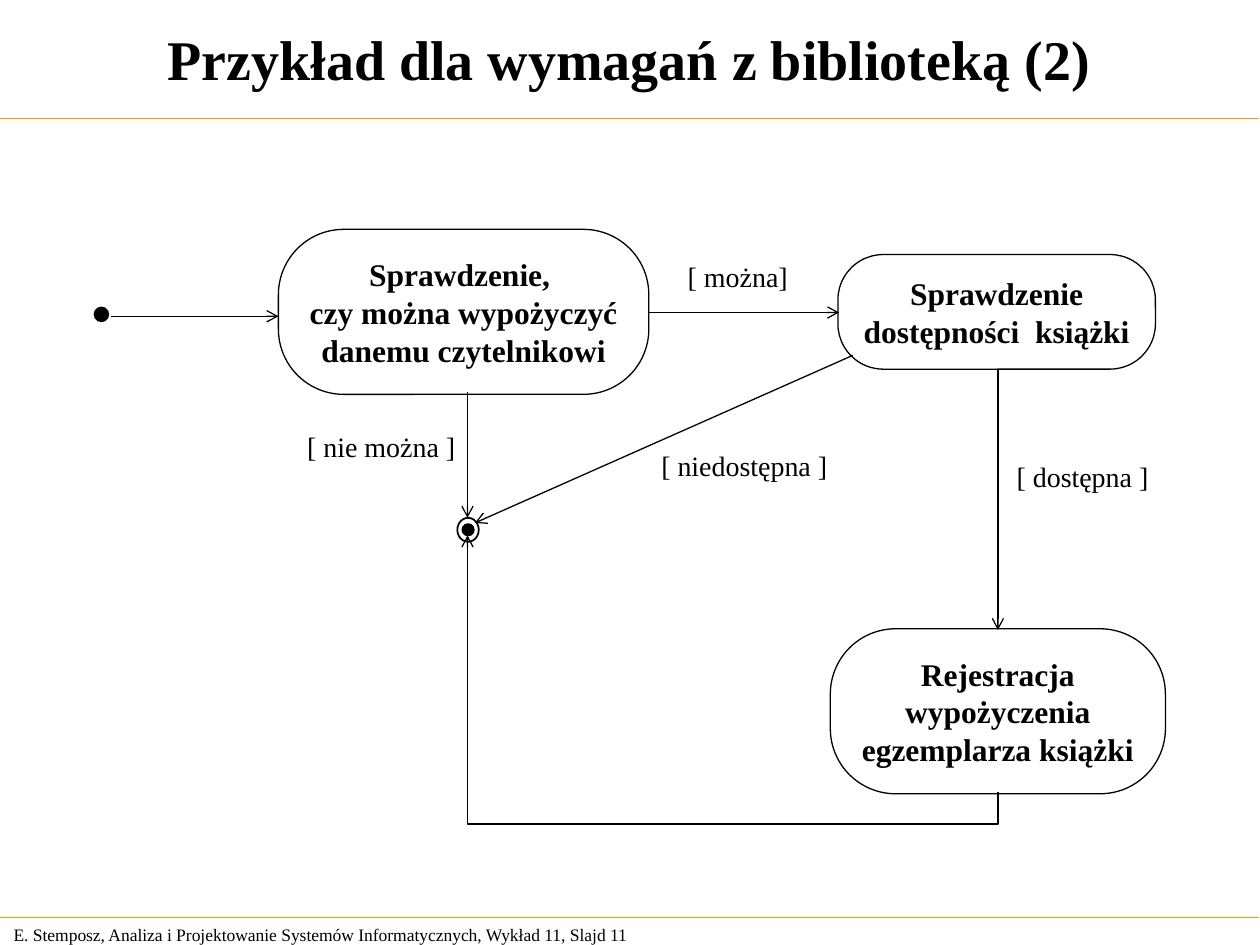
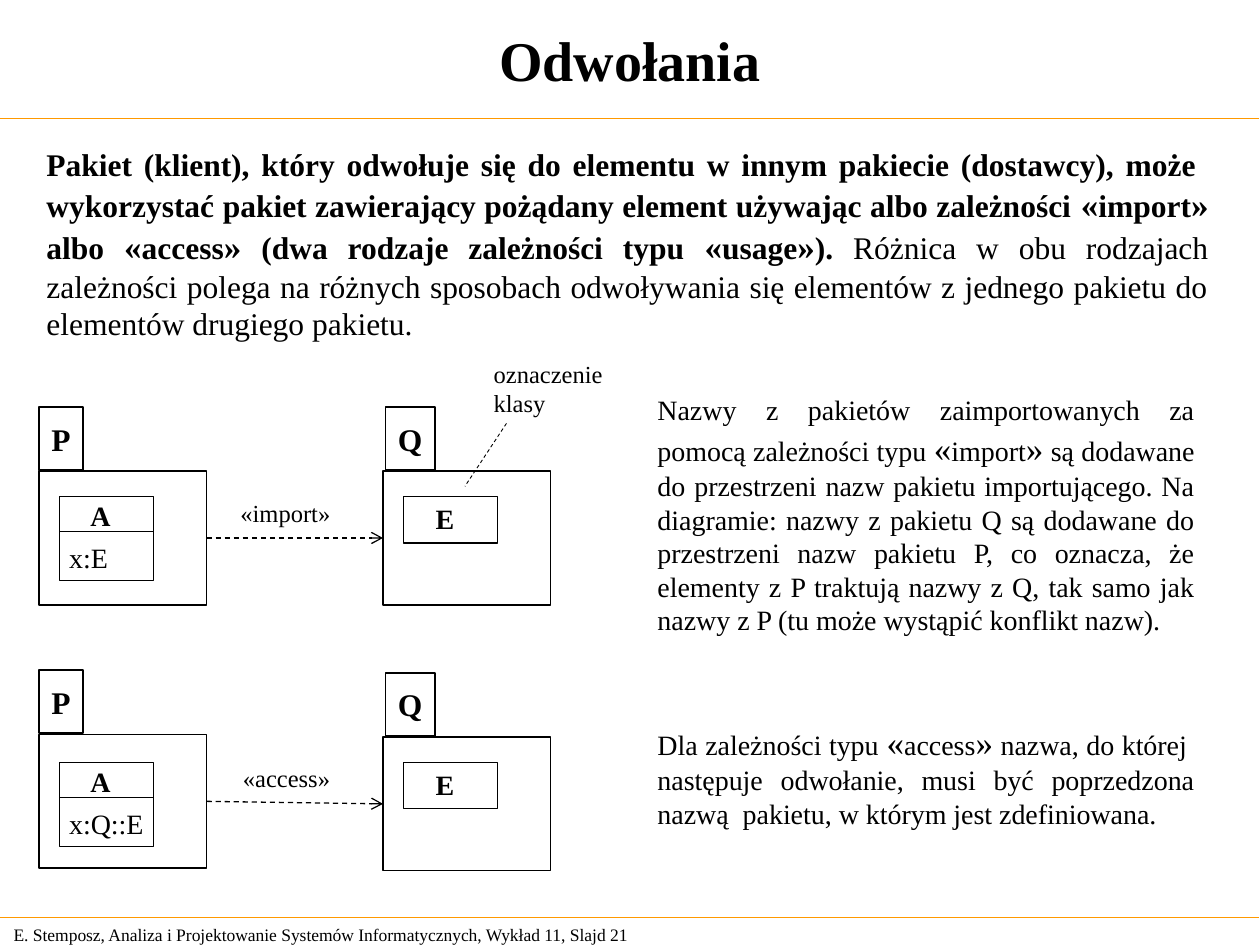
from dataclasses import dataclass
from itertools import groupby

from lxml.etree import SubElement
from pptx import Presentation
from pptx.dml.color import RGBColor
from pptx.enum.dml import MSO_LINE
from pptx.enum.shapes import MSO_CONNECTOR, MSO_SHAPE
from pptx.enum.text import MSO_ANCHOR, MSO_AUTO_SIZE, PP_ALIGN
from pptx.oxml.ns import qn
from pptx.util import Inches, Pt


@dataclass(frozen=True)
class Theme:
    font: str = "Times New Roman"
    ink: RGBColor = RGBColor(0, 0, 0)
    rule: RGBColor = RGBColor(0xFF, 0x99, 0)
    head: int = 32
    quote: int = 20
    lead: int = 18
    text: int = 16
    label: int = 14
    foot: int = 10
    thin: float = 0.5
    line: float = 0.75
    bold: float = 1


THEME = Theme()
FOOT = "E. Stemposz, Analiza i Projektowanie Systemów Informatycznych, Wykład 11, Slajd "


def write(frame, text, size=THEME.text, bold=False, lead="", quote=None,
          align=PP_ALIGN.LEFT, anchor=MSO_ANCHOR.TOP, wrap=False, inset=0.05):
    """Fill a frame; lead is a bold opening, quote the size of guillemets."""
    frame.auto_size = MSO_AUTO_SIZE.NONE
    frame.word_wrap = wrap
    frame.vertical_anchor = anchor
    frame.margin_left = frame.margin_right = Inches(0.1)
    frame.margin_top = frame.margin_bottom = Inches(inset)
    for row, line in enumerate(text.split("\n")):
        para = frame.add_paragraph() if row else frame.paragraphs[0]
        para.alignment = align
        for part, heavy in ((lead if row == 0 else "", True), (line, bold)):
            for mark, chars in groupby(part, lambda c: bool(quote) and c in "«»"):
                run = para.add_run()
                run.text = "".join(chars)
                run.font.name = THEME.font
                run.font.size = Pt(quote if mark else size)
                run.font.bold = heavy
                run.font.color.rgb = THEME.ink


class Deck:
    def __init__(self, theme):
        self.theme = theme
        self.show = Presentation()
        self.show.slide_width, self.show.slide_height = Inches(10), Inches(7.5)
        self.slide = None

    def page(self, title, number, box):
        """Start a slide with its title, two rules and footer."""
        self.slide = self.show.slides.add_slide(self.show.slide_layouts[5])
        head = self.slide.shapes.title
        head.left, head.top, head.width, head.height = map(Inches, box)
        write(head.text_frame, title, size=self.theme.head, bold=True,
              align=PP_ALIGN.CENTER, anchor=MSO_ANCHOR.MIDDLE, wrap=True)
        for y in (0.94, 7.28):
            self.line((0, y), (9.99, y), color=self.theme.rule)
        self.text((0.01, 7.28, 5.24, 0.27), f"{FOOT}{number}",
                  size=self.theme.foot, anchor=MSO_ANCHOR.MIDDLE)

    def text(self, box, text, **fmt):
        frame = self.slide.shapes.add_textbox(*map(Inches, box)).text_frame
        write(frame, text, **fmt)

    def prose(self, box, text, **fmt):
        """Add a justified, wrapped paragraph."""
        self.text(box, text, quote=self.theme.quote, wrap=True,
                  align=PP_ALIGN.JUSTIFY, **fmt)

    def shape(self, kind, box, width=THEME.line, fill=None):
        item = self.slide.shapes.add_shape(kind, *map(Inches, box))
        item.shadow.inherit = False
        if fill is None:
            item.fill.background()
        else:
            item.fill.solid()
            item.fill.fore_color.rgb = fill
        item.line.color.rgb = self.theme.ink
        item.line.width = Pt(width)
        return item

    def rect(self, box, width=THEME.line):
        return self.shape(MSO_SHAPE.RECTANGLE, box, width)

    def dot(self, box, fill=None):
        self.shape(MSO_SHAPE.OVAL, box, self.theme.bold, fill)

    def step(self, box, text):
        """Add a rounded activity box."""
        item = self.shape(MSO_SHAPE.ROUNDED_RECTANGLE, box)
        item.adjustments[0] = 0.396
        write(item.text_frame, text, size=self.theme.lead, bold=True,
              align=PP_ALIGN.CENTER, anchor=MSO_ANCHOR.MIDDLE)

    def line(self, start, end, color=THEME.ink, width=THEME.line,
             arrow=False, dash=False, kind=MSO_CONNECTOR.STRAIGHT):
        item = self.slide.shapes.add_connector(kind, *map(Inches, start + end))
        item.line.color.rgb = color
        item.line.width = Pt(width)
        if dash:
            item.line.dash_style = MSO_LINE.DASH
        props = item._element.spPr
        if arrow:
            SubElement(props.find(qn("a:ln")), qn("a:tailEnd"), type="arrow")
        SubElement(props, qn("a:effectLst"))
        return item

    def elbow(self, start, end, drop):
        """Draw an arrow that dips by drop, runs left, then climbs to end."""
        wide, high = start[0] - end[0], start[1] - end[1]
        x, y = (start[0] + end[0]) / 2, (start[1] + end[1]) / 2
        item = self.line((x - high / 2, y + wide / 2), (x + high / 2, y - wide / 2),
                         arrow=True, kind=MSO_CONNECTOR.ELBOW)
        props = item._element.spPr
        props.find(qn("a:xfrm")).set("rot", str(270 * 60000))
        geom = props.find(qn("a:prstGeom"))
        bends = geom.find(qn("a:avLst"))
        if bends is None:
            bends = SubElement(geom, qn("a:avLst"))
        SubElement(bends, qn("a:gd"), name="adj1",
                   fmla=f"val {round(-drop / high * 100000)}")

    def folder(self, name, x, top, tab, wide):
        """Add a package: a named tab above a body whose top is given."""
        label = self.rect((tab, top - 0.51, wide, 0.5), self.theme.bold)
        write(label.text_frame, name, size=self.theme.lead, bold=True, inset=0.1,
              align=PP_ALIGN.CENTER, anchor=MSO_ANCHOR.MIDDLE)
        self.rect((x, top, 1.33, 1.06), self.theme.bold)

    def usage(self, left, right, inner, field, label, at):
        """Draw package P that depends on package Q; tops are given."""
        self.folder("P", 0.31, left, 0.31, 0.35)
        self.rect((0.47, inner, 0.75, 0.67))
        self.line((0.47, inner + 0.28), (1.22, inner + 0.28))
        self.text((0.62, inner - 0.03, 0.36, 0.37), "A", bold=True)
        self.text((0.45, inner + 0.3, 0.79, 0.37), field)
        self.folder("Q", 3.04, right, 3.06, 0.39)
        self.rect((3.2, right + 0.2, 0.75, 0.37))
        self.text((3.36, right + 0.19, 0.35, 0.37), "E", bold=True)
        self.line((1.64, left + 0.53), (3.04, right + 0.53), arrow=True, dash=True)
        self.text((at, right + 0.16, 0.9, 0.34), label, size=self.theme.label)


def library(deck):
    deck.page("Przykład dla wymagań z biblioteką (2)", 11, (0, 0, 9.99, 0.92))
    deck.dot((0.75, 2.44, 0.11, 0.11), THEME.ink)
    deck.dot((3.63, 4.11, 0.17, 0.19))
    deck.dot((3.67, 4.16, 0.09, 0.09), THEME.ink)
    for box, text in (
        ((2.21, 1.82, 2.94, 1.31),
         "Sprawdzenie, \nczy można wypożyczyć\ndanemu czytelnikowi"),
        ((6.65, 2.02, 2.52, 0.91), "Sprawdzenie\ndostępności  książki"),
        ((6.59, 4.99, 2.66, 1.31), "Rejestracja\nwypożyczenia\negzemplarza książki"),
    ):
        deck.step(box, text)
    for start, end in (
        ((0.88, 2.51), (2.21, 2.51)),
        ((5.15, 2.48), (6.66, 2.48)),
        ((3.71, 3.11), (3.71, 4.11)),
        ((7.92, 2.93), (7.92, 5)),
        ((6.77, 2.82), (3.77, 4.15)),
    ):
        deck.line(start, end, arrow=True)
    deck.elbow((7.92, 6.29), (3.71, 4.25), 0.25)
    for x, y, wide, text in (
        (5.36, 2.01, 0.99, "[ można]"),
        (2.34, 3.36, 1.37, "[ nie można ]"),
        (7.97, 3.6, 1.24, "[ dostępna ]"),
        (5.15, 3.51, 1.51, "[ niedostępna ]"),
    ):
        deck.text((x, y, wide, 0.37), text)


def access(deck):
    deck.page("Odwołania", 21, (0.04, 0.04, 9.92, 0.85))
    deck.prose(
        (0.27, 1.1, 9.42, 1.67),
        "Różnica w obu rodzajach zależności polega na różnych sposobach odwoływania "
        "się elementów z jednego pakietu do elementów drugiego pakietu.",
        lead="Pakiet (klient), który odwołuje się do elementu w innym pakiecie "
             "(dostawcy), może  wykorzystać pakiet zawierający pożądany element "
             "używając albo zależności «import» albo «access» (dwa rodzaje "
             "zależności typu «usage»). ",
        size=THEME.lead)
    deck.usage(3.74, 3.74, 3.94, "x:E", "«import»", 1.81)
    deck.usage(5.83, 5.85, 6.05, "x:Q::E", "«access»", 1.83)
    deck.prose(
        (5.12, 3.07, 4.46, 2.04),
        "Nazwy z pakietów zaimportowanych za pomocą zależności typu «import» są "
        "dodawane do przestrzeni nazw pakietu importującego. Na diagramie: nazwy z "
        "pakietu Q są dodawane do przestrzeni nazw pakietu P, co oznacza, że "
        "elementy z P traktują nazwy z Q, tak samo jak nazwy z P (tu może wystąpić "
        "konflikt nazw).")
    deck.prose(
        (5.12, 5.67, 4.46, 0.97),
        "Dla zależności typu «access» nazwa, do której  następuje odwołanie, musi "
        "być poprzedzona nazwą  pakietu, w którym jest zdefiniowana.")
    deck.text((3.82, 2.8, 1.06, 0.57), "oznaczenie\nklasy", size=THEME.label)
    deck.line((4.02, 3.36), (3.69, 3.86), width=THEME.thin, dash=True)


def main():
    deck = Deck(THEME)
    library(deck)
    access(deck)
    deck.show.save("out.pptx")


if __name__ == "__main__":
    main()
